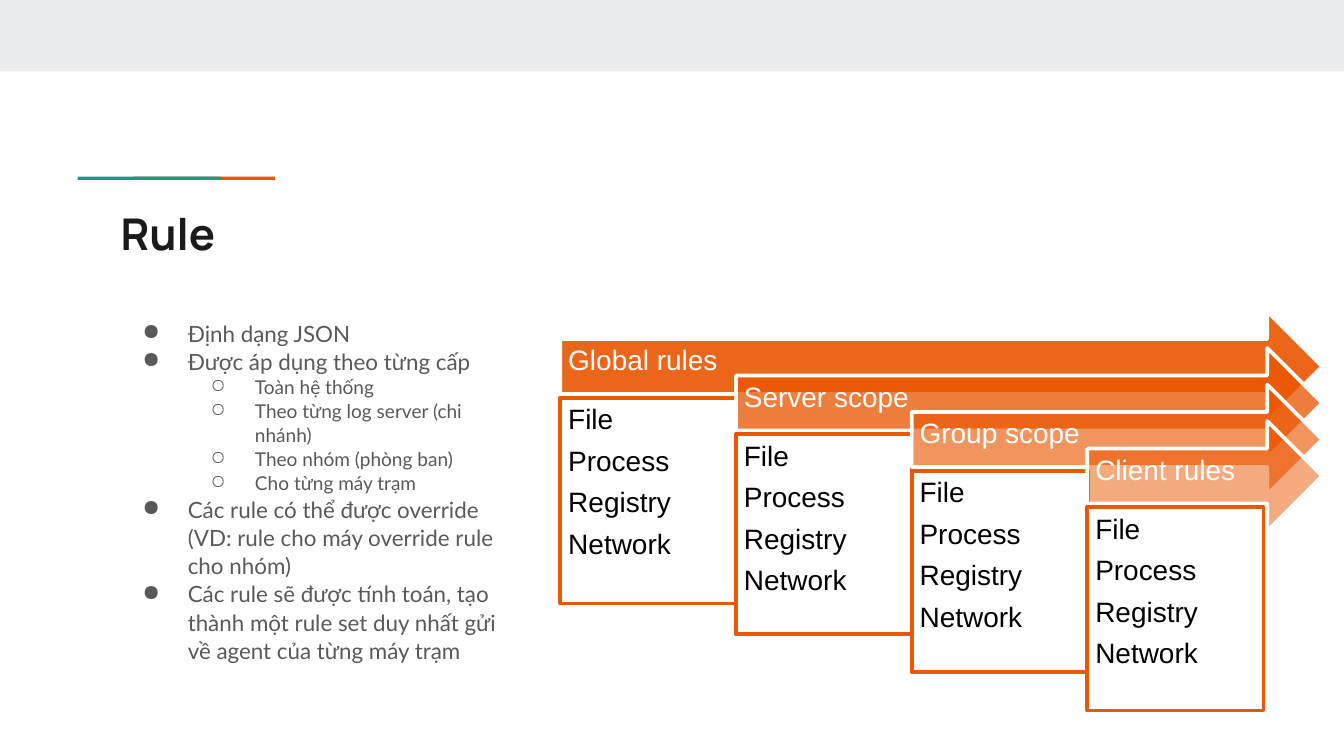
"""Build the slide on rule levels, with bullets and four nested scope arrows."""
from lxml import etree
from pptx import Presentation
from pptx.dml.color import RGBColor
from pptx.enum.shapes import MSO_SHAPE
from pptx.enum.text import MSO_ANCHOR, PP_ALIGN
from pptx.oxml.ns import qn
from pptx.util import Cm, Pt

RECTANGLE, ARROW = MSO_SHAPE.RECTANGLE, MSO_SHAPE.RIGHT_ARROW
TOP, MIDDLE = MSO_ANCHOR.TOP, MSO_ANCHOR.MIDDLE
LEFT = PP_ALIGN.LEFT

WHITE = RGBColor(0xFF, 0xFF, 0xFF)
BLACK = RGBColor(0x00, 0x00, 0x00)
INK = RGBColor(0x1A, 0x1A, 0x1A)
GREY = RGBColor(0x59, 0x59, 0x59)
PALE = RGBColor(0xE9, 0xED, 0xEE)
ORANGE = RGBColor(0xEB, 0x56, 0x00)
TEAL = RGBColor(0x1A, 0x99, 0x88)

BULLETS = [
    (0, "Định dạng JSON"),
    (0, "Được áp dụng theo từng cấp"),
    (1, "Toàn hệ thống"),
    (1, "Theo từng log server (chi nhánh)"),
    (1, "Theo nhóm (phòng ban)"),
    (1, "Cho từng máy trạm"),
    (0, "Các rule có thể được override (VD: rule cho máy override rule cho nhóm)"),
    (0, "Các rule sẽ được tính toán, tạo thành một rule set duy nhất gửi về agent của từng máy trạm"),
]
BULLET_STYLES = [("●", 12, 1.27, 0.86), ("○", 10.2, 2.54, 0.84)]
SCOPES = [
    ("Global rules", 90, 3.89),
    ("Server scope", 77, 3.78),
    ("Group scope", 63, 3.81),
    ("Client rules", 50, 3.84),
]
RULE_TYPES = "File\nProcess\nRegistry\nNetwork"

prs = Presentation()
prs.slide_width, prs.slide_height = Cm(25.4), Cm(14.29)
slide = prs.slides.add_slide(prs.slide_layouts[6])


def add_block(kind, left, top, width, height, fill, line=None):
    block = slide.shapes.add_shape(kind, Cm(left), Cm(top), Cm(width), Cm(height))
    block.shadow.inherit = False
    block.fill.solid()
    block.fill.fore_color.rgb = fill
    if line is None:
        block.line.fill.background()
    else:
        block.line.color.rgb = line
        block.line.width = Pt(2)
    return block


def write(shape, text, font, size, color, anchor, insets, spacing=1.0, after=0):
    frame = shape.text_frame
    frame.word_wrap = True
    frame.vertical_anchor = anchor
    frame.margin_left, frame.margin_top, frame.margin_right, frame.margin_bottom = map(Cm, insets)
    frame.text = text
    for paragraph in frame.paragraphs:
        paragraph.alignment = LEFT
        paragraph.line_spacing = spacing
        paragraph.space_after = Pt(after)
        for run in paragraph.runs:
            run.font.name = font
            run.font.size = Pt(size)
            run.font.color.rgb = color
    return frame.paragraphs


add_block(RECTANGLE, 0, 0, 25.4, 1.35, PALE)
add_block(RECTANGLE, 2.53, 3.34, 2.67, 0.06, ORANGE)
add_block(RECTANGLE, 1.47, 3.34, 2.7, 0.06, TEAL)

title = slide.shapes.add_textbox(Cm(2.03), Cm(3.66), Cm(21.36), Cm(1.5))
heading = write(title, "Rule", "Manrope", 23.4, INK, TOP, [0.25] * 4)[0]
heading.runs[0].font.bold = True

body = slide.shapes.add_textbox(Cm(2.03), Cm(5.77), Cm(8.03), Cm(7.44))
body_text = "\n".join(text for _, text in BULLETS)
points = write(body, body_text, "Lato", 12, GREY, TOP, [0.25] * 4, 1.05)
for point, (level, _) in zip(points, BULLETS):
    mark, size, indent, hanging = BULLET_STYLES[level]
    point.level = level
    point.runs[0].font.size = Pt(size)
    properties = point._p.get_or_add_pPr()
    properties.set("marL", str(Cm(indent)))
    properties.set("indent", str(-Cm(hanging)))
    mark_color = etree.SubElement(properties, qn("a:buClr"))
    etree.SubElement(mark_color, qn("a:srgbClr"), val=str(GREY))
    etree.SubElement(properties, qn("a:buChar"), char=mark)

for step, (scope, opacity, box_height) in enumerate(SCOPES):
    left, top = 10.59 + 3.32 * step, 5.89 + 0.69 * step
    arrow = add_block(ARROW, left, top, 24.99 - left, 2.08, ORANGE, WHITE)
    arrow_color = arrow.fill._xPr.find(qn("a:solidFill"))[0]
    etree.SubElement(arrow_color, qn("a:alpha"), val=str(opacity * 1000))
    write(arrow, scope, "Arial", 15, WHITE, MIDDLE, [0.15, 0.15, 0.71, 0.33], 0.9, 6)
    rules = add_block(RECTANGLE, left, top + 1.63, 3.33, box_height, WHITE, ORANGE)
    write(rules, RULE_TYPES, "Arial", 15, BLACK, TOP, [0.15] * 4, 0.9, 6)

prs.save("out.pptx")
